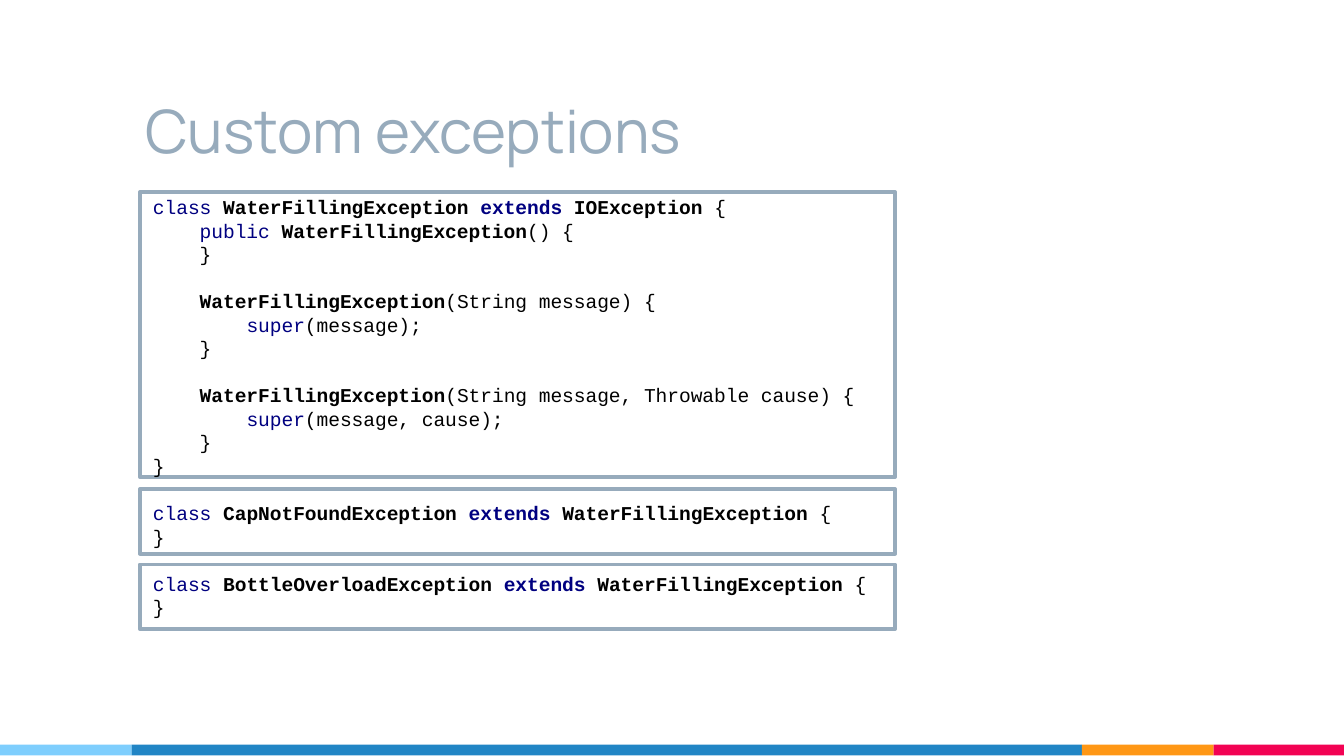
from itertools import groupby

from pptx import Presentation
from pptx.dml.color import RGBColor
from pptx.enum.shapes import MSO_SHAPE as Shape
from pptx.enum.text import MSO_ANCHOR as Anchor, MSO_AUTO_SIZE as Fit, PP_ALIGN as Align
from pptx.util import Inches, Pt

COLORS = {
    "white": "FFFFFF", "black": "000000", "slate": "97ABBC", "navy": "000080",
    "sky": "7ECEFD", "blue": "2185C5", "orange": "FF9715", "pink": "F20253",
}
KEYWORDS = {"class", "extends", "public", "super"}
BLOCKS = [
    """class WaterFillingException extends IOException {
    public WaterFillingException() {
    }

    WaterFillingException(String message) {
        super(message);
    }

    WaterFillingException(String message, Throwable cause) {
        super(message, cause);
    }
}""",
    """class CapNotFoundException extends WaterFillingException {
}""",
    """class BottleOverloadException extends WaterFillingException {
}""",
]


def color(name):
    return RGBColor.from_string(COLORS[name])


class Deck:
    head_font = "Manrope"
    code_font = "Courier New"
    code_size = Pt(10.5)
    pitch = Pt(12.6)

    def __init__(self, width, ratio):
        self.prs = Presentation()
        self.prs.slide_width = Inches(width)
        self.prs.slide_height = Inches(width / ratio)
        self.slide = self.prs.slides.add_slide(self.prs.slide_layouts[5])

    def frame(self, shape, anchor):
        """Set up the text frame of a shape and return it."""
        frame = shape.text_frame
        frame.word_wrap = True
        frame.auto_size = Fit.NONE
        frame.vertical_anchor = anchor
        frame.margin_left = frame.margin_right = Inches(0.1)
        frame.margin_top = frame.margin_bottom = Inches(0.1)
        return frame

    def title(self, text, x, y, w, h):
        shape = self.slide.shapes.title
        shape.left, shape.top, shape.width, shape.height = map(Inches, (x, y, w, h))
        frame = self.frame(shape, Anchor.BOTTOM)
        frame.text = text
        para = frame.paragraphs[0]
        para.alignment = Align.LEFT
        para.font.name = self.head_font
        para.font.size = Pt(32)
        para.font.color.rgb = color("slate")

    def rect(self, x, y, w, h, fill, line=None):
        shape = self.slide.shapes.add_shape(Shape.RECTANGLE, *map(Inches, (x, y, w, h)))
        shape.shadow.inherit = False
        shape.fill.solid()
        shape.fill.fore_color.rgb = color(fill)
        if line:
            shape.line.color.rgb = color(line)
            shape.line.width = Pt(2)
        else:
            shape.line.fill.background()

    def code(self, blocks, x, y, w, h):
        box = self.slide.shapes.add_textbox(*map(Inches, (x, y, w, h)))
        frame = self.frame(box, Anchor.TOP)
        for i, block in enumerate(blocks):
            para = frame.add_paragraph() if i else frame.paragraphs[0]
            para.line_spacing = self.pitch
            para.space_before = self.pitch if i else Pt(0)
            para.font.name = self.code_font
            para.font.size = self.code_size
            for j, line in enumerate(block.split("\n")):
                if j:
                    para.add_line_break()
                self.tokens(para, line)

    def tokens(self, para, line):
        """Add a line of code, with keywords and exception names marked."""
        for _, chars in groupby(line, str.isalpha):
            run = para.add_run()
            run.text = word = "".join(chars)
            run.font.color.rgb = color("navy" if word in KEYWORDS else "black")
            run.font.bold = word == "extends" or word.endswith("Exception")


def main():
    deck = Deck(10, 16 / 9)
    left = 0
    for width, fill in ((0.98, "sky"), (7.07, "blue"), (0.98, "orange"), (0.97, "pink")):
        deck.rect(left, 5.54, width, 0.08, fill)
        left += width
    for top, height in ((1.43, 2.12), (3.64, 0.48), (4.2, 0.48)):
        deck.rect(1.04, top, 5.62, height, "white", "slate")
    deck.title("Custom exceptions", 0.98, 0.39, 7.07, 0.94)
    deck.code(BLOCKS, 1.04, 1.35, 6.46, 3.88)
    deck.prs.save("out.pptx")


if __name__ == "__main__":
    main()
